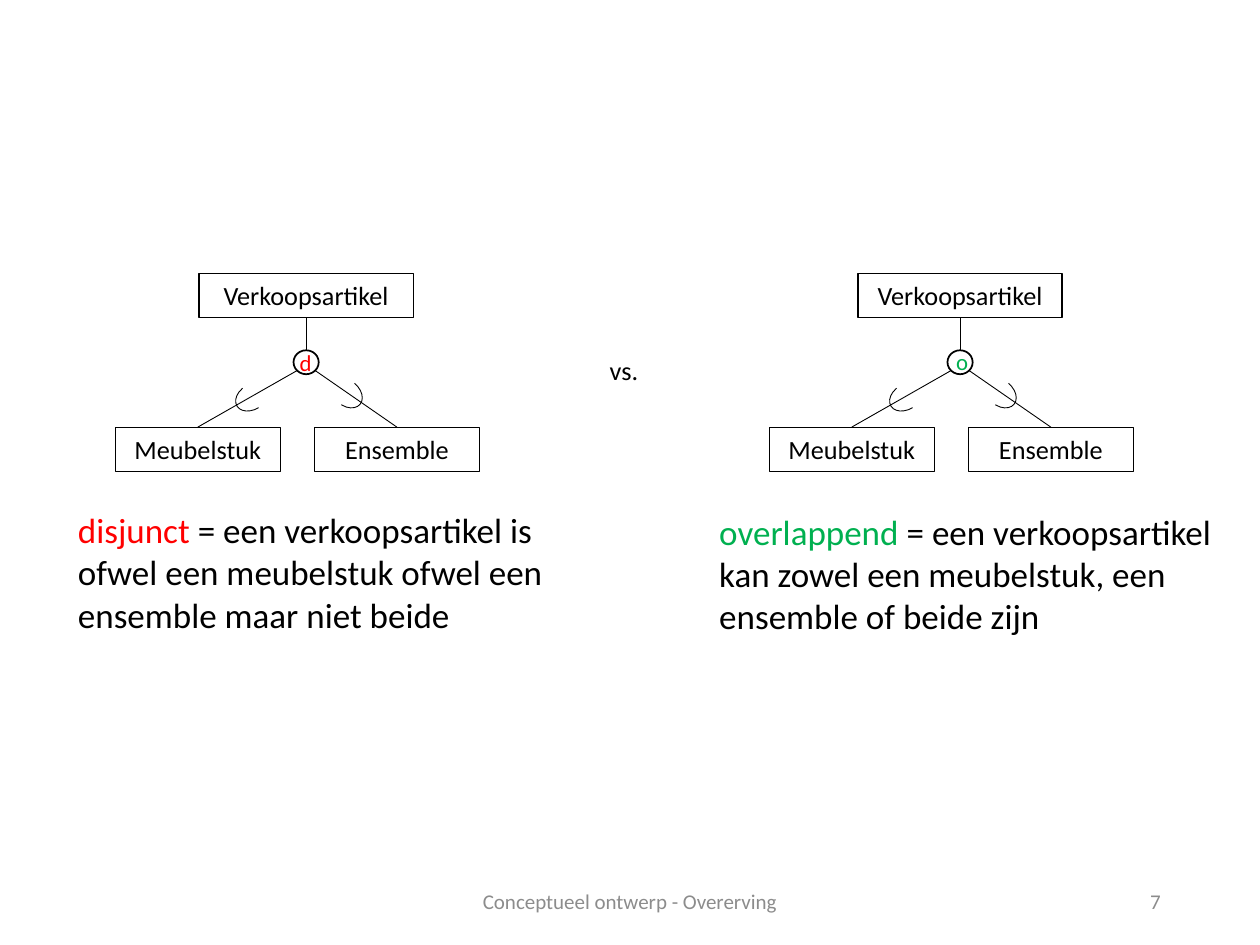
from pptx import Presentation
from pptx.dml.color import RGBColor
from pptx.enum.shapes import MSO_CONNECTOR, MSO_SHAPE
from pptx.enum.text import MSO_ANCHOR, PP_ALIGN
from pptx.oxml.ns import qn
from pptx.util import Inches, Pt
from lxml import etree

COLORS = {"black": "000000", "red": "FF0000", "green": "00B050", "gray": "8C8C8C"}
FONT = "Calibri"

PARENT, CHILDREN = "Verkoopsartikel", ("Meubelstuk", "Ensemble")
# centre of the tree, parent width, letter, its left and top, colour
TREES = [
    (2.43, 1.7, "d", (2.28, 2.72), "red"),
    (7.62, 1.62, "o", (7.49, 2.71), "green"),
]
# position, term, colour, explanation
NOTES = [
    ((0.52, 3.99, 4.25, 1.11), "disjunct ", "red",
     "= een verkoopsartikel is ofwel een meubelstuk ofwel een ensemble maar niet beide"),
    ((5.61, 4, 4.15, 1.11), "overlappend ", "green",
     "= een verkoopsartikel kan zowel een meubelstuk, een ensemble of beide zijn"),
]
FOOTER = [
    ((3.31, 6.95, 3.38, 0.4), "Conceptueel ontwerp - Overerving", PP_ALIGN.CENTER),
    ((7.06, 6.95, 2.25, 0.4), "7", PP_ALIGN.RIGHT),
]
BOX_H, CHILD_W, CHILD_GAP = 0.35, 1.31, 0.27
PARENT_TOP, NODE_TOP, CHILD_TOP = 2.17, 2.78, 3.39
NODE_W, NODE_H = 0.2, 0.19
# offset of each arc from the tree's centre, top, rotation
ARCS = [(-0.57, 3.05, 148.5), (0.18, 3.02, 39.6)]

prs = Presentation()
prs.slide_width, prs.slide_height = Inches(10), Inches(7.5)
slide = prs.slides.add_slide(prs.slide_layouts[6])


def rgb(name):
    return RGBColor.from_string(COLORS[name])


def write(frame, runs, size, align=PP_ALIGN.LEFT):
    """Put (text, colour) runs into the frame's first paragraph."""
    par = frame.paragraphs[0]
    par.alignment = align
    for text, color in runs:
        run = par.add_run()
        run.text = text
        run.font.size, run.font.name = Pt(size), FONT
        run.font.color.rgb = rgb(color)


def label(at, runs, size, align=PP_ALIGN.LEFT, wrap=True, anchor=MSO_ANCHOR.TOP):
    frame = slide.shapes.add_textbox(*map(Inches, at)).text_frame
    frame.word_wrap, frame.vertical_anchor = wrap, anchor
    write(frame, runs, size, align)


def outline(kind, at, weight):
    """Add an unfilled shape with a black line."""
    shape = slide.shapes.add_shape(kind, *map(Inches, at))
    shape.shadow.inherit = False
    shape.fill.background()
    shape.line.color.rgb, shape.line.width = rgb("black"), Pt(weight)
    return shape


def entity(text, mid, top, width):
    box = outline(MSO_SHAPE.RECTANGLE, (mid - width / 2, top, width, BOX_H), 0.75)
    box.text_frame.word_wrap = True
    box.text_frame.vertical_anchor = MSO_ANCHOR.TOP
    write(box.text_frame, [(text, "black")], 15, PP_ALIGN.CENTER)
    return box


def link(start, end):
    line = slide.shapes.add_connector(MSO_CONNECTOR.STRAIGHT, *map(Inches, start + end))
    line.line.color.rgb, line.line.width = rgb("black"), Pt(0.5)
    etree.SubElement(line._element.spPr, qn("a:effectLst"))
    return line


def tree(mid, width, letter, spot, color):
    parent = entity(PARENT, mid, PARENT_TOP, width)
    node = outline(MSO_SHAPE.OVAL, (mid - NODE_W / 2, NODE_TOP, NODE_W, NODE_H), 1)
    stem = link((mid, NODE_TOP), (mid, PARENT_TOP + BOX_H))
    stem.begin_connect(node, 0)
    stem.end_connect(parent, 2)

    step = (CHILD_W + CHILD_GAP) / 2
    for side, text in zip((-1, 1), CHILDREN):
        # the children sit slightly left of the node's centre
        x = mid - 0.07 + side * step
        child = entity(text, x, CHILD_TOP, CHILD_W)
        branch = link((mid + side * 0.07, 2.94), (x, CHILD_TOP))
        branch.end_connect(child, 0)

    for shift, top, turn in ARCS:
        arc = outline(MSO_SHAPE.ARC, (mid + shift, top, 0.28, 0.2), 0.5)
        arc.adjustments[0], arc.adjustments[1] = 162, 44.44
        arc.rotation = turn
    label(spot + (0.3, 0.32), [(letter, color)], 13, wrap=False)


for item in TREES:
    tree(*item)
label((4.74, 2.76, 0.43, 0.35), [("vs.", "black")], 15, wrap=False)
for at, term, color, text in NOTES:
    label(at, [(term, color), (text, "black")], 20)
for at, text, align in FOOTER:
    label(at, [(text, "gray")], 12, align, anchor=MSO_ANCHOR.MIDDLE)

prs.save("out.pptx")
